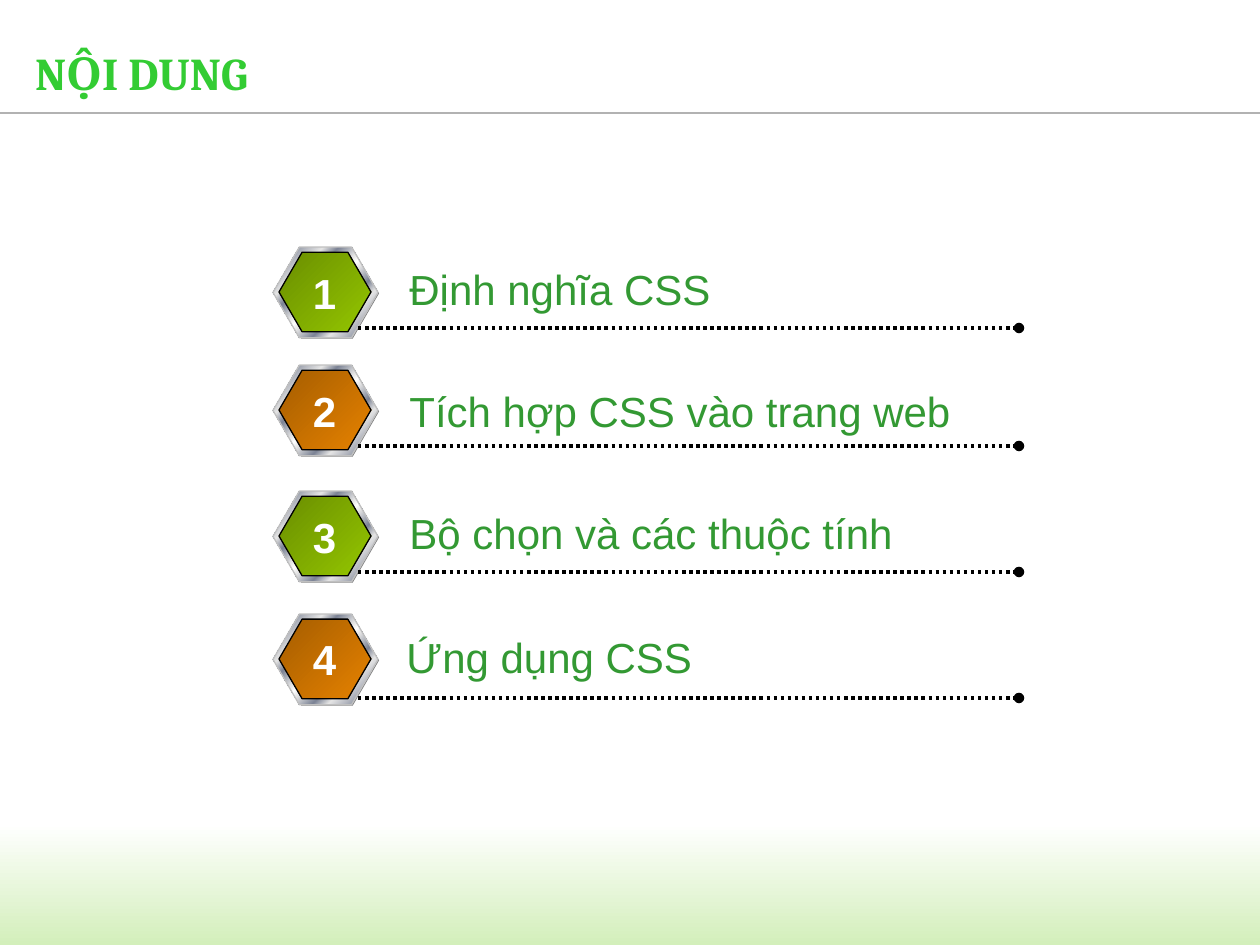
import copy

import lxml.etree
import pptx
import pptx.dml.color
import pptx.enum.dml
import pptx.enum.shapes
import pptx.enum.text
import pptx.oxml.ns
import pptx.util

RGBColor = pptx.dml.color.RGBColor
Shapes = pptx.enum.shapes.MSO_SHAPE
Align = pptx.enum.text.PP_ALIGN
Anchor = pptx.enum.text.MSO_ANCHOR
qn = pptx.oxml.ns.qn

PX = 914400 / 126

WHITE = RGBColor(0xFF, 0xFF, 0xFF)
BLACK = RGBColor(0, 0, 0)
PALE_GREEN = RGBColor(0xD3, 0xEF, 0xBB)
TITLE_GREEN = RGBColor(0x33, 0xCC, 0x33)
LABEL_GREEN = RGBColor(0x33, 0x99, 0x33)
RULE_GREY = RGBColor(0xB2, 0xB2, 0xB2)
SHADE_GREY = RGBColor(0x80, 0x80, 0x80)
RIM_GREY = RGBColor(0xC0, 0xC0, 0xC0)
SILVER = RGBColor(0xE6, 0xE6, 0xE6)
STEEL = RGBColor(0x7D, 0x84, 0x96)

GREEN_FACE = [(0, RGBColor(0x6A, 0x8E, 0)), (100, RGBColor(0x94, 0xC6, 0))]
ORANGE_FACE = [(0, RGBColor(0xA5, 0x5D, 0)), (100, RGBColor(0xE6, 0x82, 0))]
FOOT_FADE = [(0, WHITE), (100, PALE_GREEN)]
METAL = [(0, SILVER), (8, STEEL), (26, SILVER), (34, STEEL), (46, SILVER), (50, WHITE),
         (54, SILVER), (66, STEEL), (74, SILVER), (92, STEEL), (100, SILVER)]

TITLE_FONT = {"name": "Cambria", "size": pptx.util.Pt(26), "bold": True}
LABEL_FONT = {"name": "Arial", "size": pptx.util.Pt(24), "bold": False}
NUMBER_FONT = {"name": "Arial", "size": pptx.util.Pt(24), "bold": True}
TITLE_FRAME = {"margin_left": 0, "margin_top": 0, "margin_right": 0, "margin_bottom": 0,
               "vertical_anchor": Anchor.MIDDLE, "word_wrap": True,
               "auto_size": pptx.enum.text.MSO_AUTO_SIZE.NONE}

# label, left, width, hexagon top, label top, number top, line height on the page
ITEMS = [
    ("Định nghĩa CSS", 397, 330, 247, 257, 261, 328),
    ("Tích hợp CSS vào trang web", 397, 572, 365, 379, 379, 446),
    ("Bộ chọn và các thuộc tính", 397, 525, 491, 501, 505, 572),
    ("Ứng dụng CSS", 394, 314, 614, 625, 627, 698),
]


def px(*lengths):
    return [pptx.util.Emu(round(length * PX)) for length in lengths]


def apply(target, values):
    for name, value in values.items():
        setattr(target, name, value)


def fill_gradient(shape, stops, angle):
    """Fill with (percent, colour) stops; the angle runs clockwise."""
    shape.fill.gradient()
    shape.fill.gradient_angle = (360 - angle) % 360
    stop_list = next(shape.element.iter(qn("a:gsLst")))
    model = copy.deepcopy(stop_list[0])
    for old in list(stop_list):
        stop_list.remove(old)
    for percent, _ in stops:
        stop = copy.deepcopy(model)
        stop.set("pos", str(percent * 1000))
        stop_list.append(stop)
    for stop, (_, color) in zip(shape.fill.gradient_stops, stops):
        stop.color.rgb = color


def add_filled(shapes, kind, box, fill, angle=0, line=None):
    shape = shapes.add_shape(kind, *px(*box))
    shape.shadow.inherit = False
    if isinstance(fill, list):
        fill_gradient(shape, fill, angle)
    else:
        shape.fill.solid()
        shape.fill.fore_color.rgb = fill
    if line is None:
        shape.line.fill.background()
    else:
        shape.line.color.rgb = line
        shape.line.width = pptx.util.Pt(0.75)
    return shape


def add_line(page, left, right, y, color, width):
    line = page.shapes.add_connector(pptx.enum.shapes.MSO_CONNECTOR.STRAIGHT, *px(left, y, right, y))
    line.line.color.rgb = color
    line.line.width = pptx.util.Pt(width)
    lxml.etree.SubElement(line.element.spPr, qn("a:effectLst"))
    return line


def add_dotted_line(page, y):
    line = add_line(page, 358, 1019, y, BLACK, 2)
    line.line.dash_style = pptx.enum.dml.MSO_LINE.ROUND_DOT
    outline = line.element.spPr.find(qn("a:ln"))
    lxml.etree.SubElement(outline, qn("a:tailEnd"), type="oval")


def add_badge(page, top, face):
    """Hexagon in a metal rim over a grey shade."""
    group = page.shapes.add_group_shape()
    layers = [
        ((275, top + 1, 104, 91), SHADE_GREY, None),
        ((273, top, 105, 91), METAL, RIM_GREY),
        ((279, top + 5, 92, 80), face, BLACK),
    ]
    for box, fill, line in layers:
        hexagon = add_filled(group.shapes, Shapes.HEXAGON, box, fill, 45, line)
        hexagon.adjustments[0] = 0.29
        hexagon.adjustments[1] = 1.15


def write(frame, text, font, color, align):
    para = frame.paragraphs[0]
    para.alignment = align
    span = para.add_run()
    span.text = text
    apply(span.font, font)
    span.font.color.rgb = color


def add_text(page, box, text, font, color, align):
    frame = page.shapes.add_textbox(*px(*box)).text_frame
    frame.word_wrap = False
    frame.auto_size = pptx.enum.text.MSO_AUTO_SIZE.SHAPE_TO_FIT_TEXT
    write(frame, text, font, color, align)


def set_title(page, text):
    title = page.shapes.title
    apply(title, dict(zip(("left", "top", "width", "height"), px(35, 32, 1181, 81))))
    apply(title.text_frame, TITLE_FRAME)
    write(title.text_frame, text, TITLE_FONT, TITLE_GREEN, Align.LEFT)


def add_item(page, number, item):
    label, left, width, badge_top, label_top, number_top, line_y = item
    add_badge(page, badge_top, GREEN_FACE if number % 2 else ORANGE_FACE)
    add_dotted_line(page, line_y)
    add_text(page, (left, label_top, width, 63), label, LABEL_FONT, LABEL_GREEN, Align.LEFT)
    add_text(page, (300, number_top, 49, 63), str(number), NUMBER_FONT, WHITE, Align.CENTER)


def main():
    deck = pptx.Presentation()
    deck.slide_width, deck.slide_height = px(1260, 945)
    page = deck.slides.add_slide(deck.slide_layouts[5])
    add_filled(page.shapes, Shapes.RECTANGLE, (-4, 823, 1264, 122), FOOT_FADE, 90)
    add_line(page, 0, 1260, 113, RULE_GREY, 0.75)
    set_title(page, "NỘI DUNG")
    for number, item in enumerate(ITEMS, 1):
        add_item(page, number, item)
    deck.save("out.pptx")


if __name__ == "__main__":
    main()
